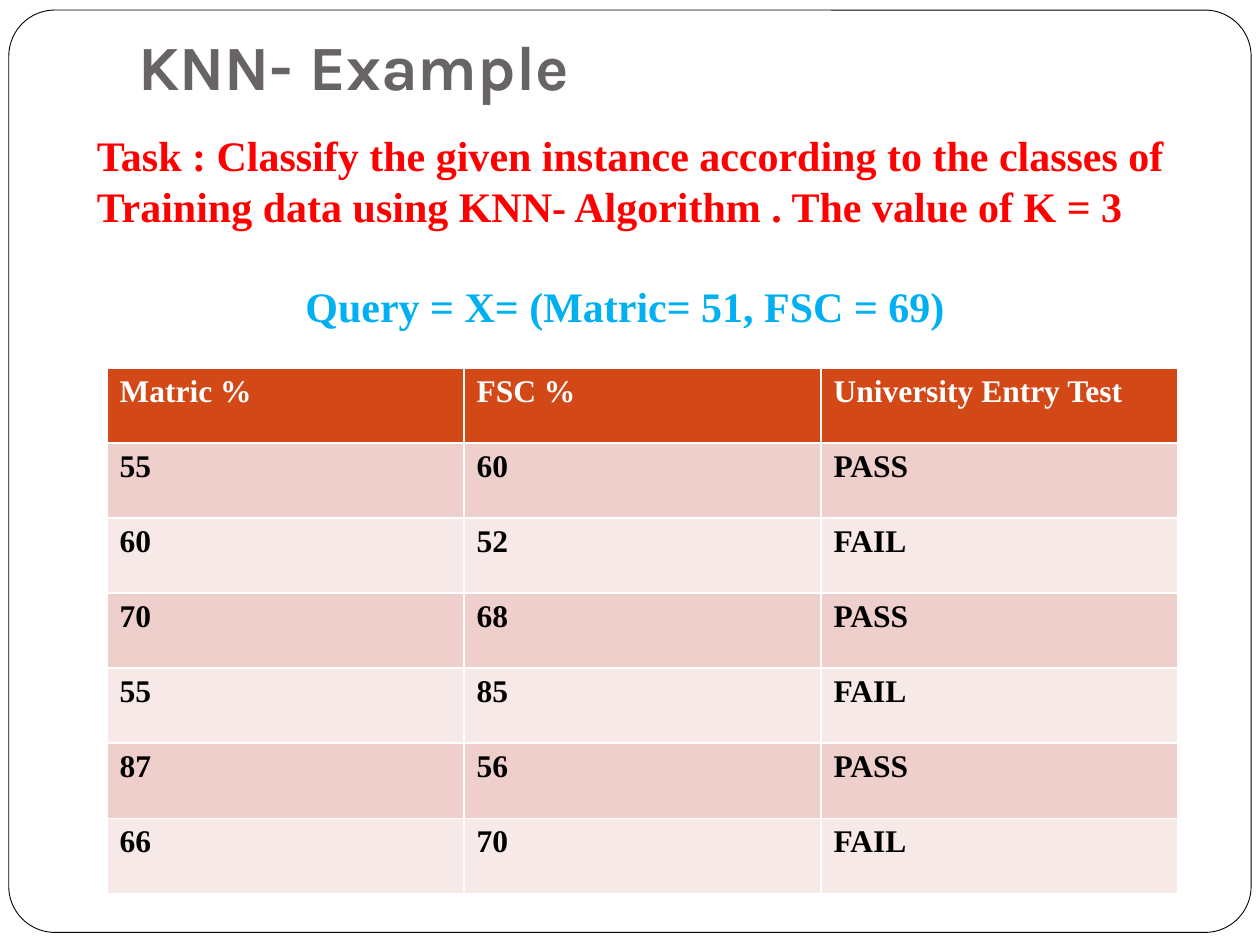
import pptx
import pptx.util
import pptx.dml.color
import pptx.enum.shapes
import pptx.enum.text

TITLE = "KNN- Example"
LEFT = pptx.enum.text.PP_ALIGN.LEFT
CENTER = pptx.enum.text.PP_ALIGN.CENTER
TASK = [
    ("Task : Classify the given instance according to the classes of", "FF0000", LEFT, 0),
    ("Training data using KNN- Algorithm . The value of K = 3", "FF0000", LEFT, 0),
    ("Query = X= (Matric= 51, FSC = 69) ", "00B0F0", CENTER, 28.8),
]
RESULTS = [
    ("Matric %", "FSC %", "University Entry Test"),
    ("55", "60", "PASS"),
    ("60", "52", "FAIL"),
    ("70", "68", "PASS"),
    ("55", "85", "FAIL"),
    ("87", "56", "PASS"),
    ("66", "70", "FAIL"),
]
HEADER_FILL = "D34817"
BAND_FILLS = ("F7E9E8", "EFCFCC")
SERIF = "Times New Roman"
WIDTH, HEIGHT = 10, 7.5


def color(value):
    return pptx.dml.color.RGBColor.from_string(value)


def inches(*lengths):
    return [pptx.util.Inches(length) for length in lengths]


def style(paragraph, font, size, value):
    for run in paragraph.runs:
        run.font.name = font
        run.font.size = pptx.util.Pt(size)
        run.font.bold = True
        run.font.color.rgb = color(value)


def add_frame(slide):
    frame = slide.shapes.add_shape(
        pptx.enum.shapes.MSO_SHAPE.ROUNDED_RECTANGLE, *inches(0.07, 0.08, 9.86, 7.32))
    frame.adjustments[0] = 0.05
    frame.shadow.inherit = False
    frame.fill.solid()
    frame.fill.fore_color.rgb = color("FFFFFF")
    frame.line.color.rgb = color("000000")
    frame.line.width = pptx.util.Pt(0.5)


def add_title(slide):
    title = slide.shapes.add_textbox(*inches(1, 0.3, 8.5, 0.62)).text_frame
    title.word_wrap = True
    title.vertical_anchor = pptx.enum.text.MSO_ANCHOR.BOTTOM
    title.margin_bottom = pptx.util.Inches(0.1)
    title.text = TITLE
    style(title.paragraphs[0], "Karla", 36, "696464")


def add_task(slide):
    task = slide.shapes.add_textbox(*inches(0.67, 0.98, 8.67, 1.72)).text_frame
    task.word_wrap = False
    task.text = "\n".join(line[0] for line in TASK)
    for paragraph, (_, value, alignment, gap) in zip(task.paragraphs, TASK):
        paragraph.alignment = alignment
        paragraph.space_before = pptx.util.Pt(gap)
        style(paragraph, SERIF, 24, value)


def add_results(slide):
    results = slide.shapes.add_table(
        len(RESULTS), len(RESULTS[0]), *inches(0.85, 2.92, 8.5, 4.17)).table
    for r, record in enumerate(RESULTS):
        for c, value in enumerate(record):
            cell = results.cell(r, c)
            cell.text_frame.text = value
            cell.fill.solid()
            cell.fill.fore_color.rgb = color(BAND_FILLS[r % 2] if r else HEADER_FILL)
            style(cell.text_frame.paragraphs[0], SERIF, 18, "000000" if r else "FFFFFF")


def main():
    deck = pptx.Presentation()
    deck.slide_width, deck.slide_height = inches(WIDTH, HEIGHT)
    slide = deck.slides.add_slide(deck.slide_layouts[6])
    add_frame(slide)
    add_title(slide)
    add_task(slide)
    add_results(slide)
    deck.save("out.pptx")


if __name__ == "__main__":
    main()
